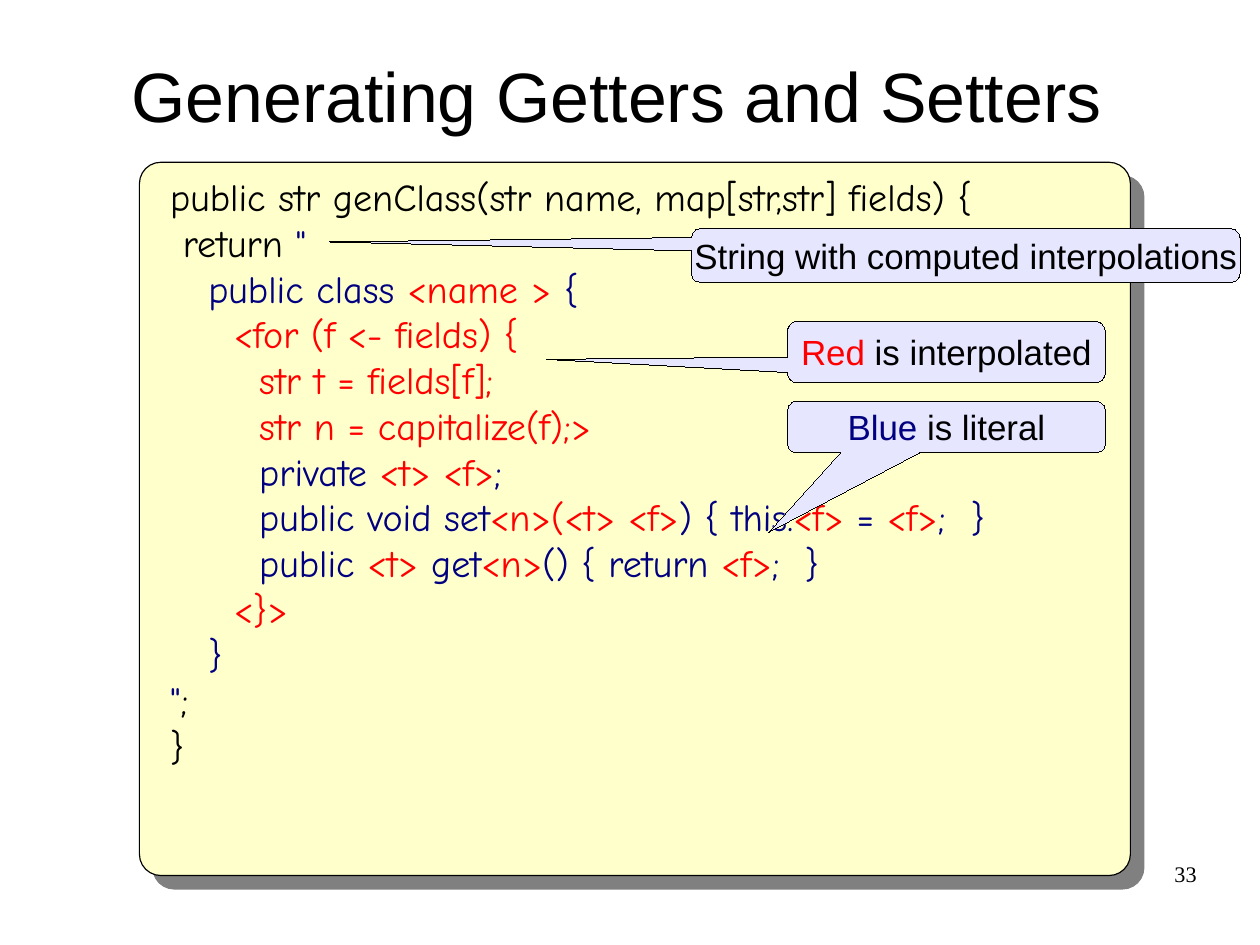
from lxml import etree
from pptx import Presentation
from pptx.dml.color import RGBColor
from pptx.enum.shapes import MSO_SHAPE
from pptx.enum.text import MSO_ANCHOR, PP_ALIGN
from pptx.oxml.ns import qn
from pptx.util import Inches, Pt

BLACK = RGBColor(0x00, 0x00, 0x00)
NAVY = RGBColor(0x00, 0x00, 0x80)
RED = RGBColor(0xFF, 0x00, 0x00)
CREAM = RGBColor(0xFF, 0xFF, 0xCC)
LILAC = RGBColor(0xE6, 0xE6, 0xFF)
ROUND = MSO_SHAPE.ROUNDED_RECTANGLE
BUBBLE = MSO_SHAPE.ROUNDED_RECTANGULAR_CALLOUT
MIDDLE = MSO_ANCHOR.MIDDLE
TOP = MSO_ANCHOR.TOP
LEFT, CENTER, RIGHT = PP_ALIGN.LEFT, PP_ALIGN.CENTER, PP_ALIGN.RIGHT
HAIR = 0.01

CODE = [
    [("public str genClass(str name, map[str,str] fields) {", BLACK)],
    [(" return ", BLACK), ('"', NAVY)],
    [("   public class ", NAVY), ("<name >", RED), (" {", NAVY)],
    [("     ", NAVY), ("<for (f <- fields) {", RED)],
    [("       str t = fields[f];", RED)],
    [("       str n = capitalize(f);>", RED)],
    [("       private ", NAVY), ("<t> <f>", RED), (";", NAVY)],
    [("       public void set", NAVY), ("<n>(<t> <f>", RED), (") { this.", NAVY),
     ("<f>", RED), (" = ", NAVY), ("<f>", RED), (";  }", NAVY)],
    [("       public ", NAVY), ("<t>", RED), (" get", NAVY), ("<n>", RED),
     ("() { return ", NAVY), ("<f>", RED), (";  }", NAVY)],
    [("     ", NAVY), ("<}>", RED)],
    [("   }", NAVY)],
    [('"', NAVY), (";", BLACK)],
    [("}", BLACK)],
]

NOTES = [
    ((6.89, 2.81, 2.78, 0.54), (-1.26, 0.12),
     [("Red", RED), (" is interpolated", BLACK)]),
    ((6.05, 2, 4.8, 0.47), (-1.16, -0.25),
     [("String with computed interpolations", BLACK)]),
    ((6.89, 3.51, 2.78, 0.45), (-0.56, 2.05),
     [("Blue", NAVY), (" is literal", BLACK)]),
]


def place(box):
    """Turn a box in inches into lengths."""
    return [Inches(n) for n in box]


def write(frame, lines, font, size, align, anchor=TOP, inset=(0, 0), wrap=True):
    """Fill a text frame with lines of coloured runs."""
    frame.word_wrap = wrap
    frame.vertical_anchor = anchor
    frame.margin_left = frame.margin_right = Inches(inset[0])
    frame.margin_top = frame.margin_bottom = Inches(inset[1])
    for i, line in enumerate(lines):
        para = frame.paragraphs[0] if i == 0 else frame.add_paragraph()
        para.alignment = align
        for text, color in line:
            run = para.add_run()
            run.text = text
            run.font.name = font
            run.font.size = Pt(size)
            run.font.color.rgb = color


def add_block(slide, kind, box, fill, width):
    """Add a filled shape with a black outline and no shadow."""
    shape = slide.shapes.add_shape(kind, *place(box))
    shape.shadow.inherit = False
    shape.fill.solid()
    shape.fill.fore_color.rgb = fill
    shape.line.color.rgb = BLACK
    shape.line.width = Pt(width)
    return shape


def add_shade(shape):
    """Give a shape a hard grey shadow to the lower right."""
    effects = shape._element.spPr.find(qn("a:effectLst"))
    shade = etree.SubElement(effects, qn("a:outerShdw"), blurRad="0",
                             dist=str(Pt(12)), dir="2700000",
                             algn="tl", rotWithShape="0")
    etree.SubElement(shade, qn("a:srgbClr"), val="808080")


def add_title(slide, box):
    """Place and fill the title."""
    title = slide.shapes.title
    title.left, title.top, title.width, title.height = place(box)
    write(title.text_frame, [[("Generating Getters and Setters", BLACK)]],
          "Arial", 44, CENTER, MIDDLE)


def add_code(slide, box):
    """Draw the code panel and its listing."""
    x, y, w, h = box
    panel = add_block(slide, ROUND, box, CREAM, 0.75)
    panel.adjustments[0] = 0.03
    add_shade(panel)
    area = (x + 0.17, y + 0.05, w - 0.19, h + 1.53)
    text = slide.shapes.add_textbox(*place(area))
    write(text.text_frame, CODE, "Comic Neue", 24, LEFT,
          inset=(0.1, 0.05), wrap=False)


def add_note(slide, box, tip, runs):
    """Draw a callout whose tail ends at the tip."""
    note = add_block(slide, BUBBLE, box, LILAC, HAIR)
    note.adjustments[0], note.adjustments[1] = tip
    write(note.text_frame, [runs], "Arial", 22, CENTER, MIDDLE,
          (0.1, 0.05), False)


def add_number(slide, box):
    """Add the page number."""
    text = slide.shapes.add_textbox(*place(box))
    write(text.text_frame, [[("33", BLACK)]], "Times New Roman", 14, RIGHT)


def main():
    """Build and save the slide."""
    deck = Presentation()
    deck.slide_width = Inches(28 / 2.54)
    deck.slide_height = Inches(21 / 2.54)
    slide = deck.slides.add_slide(deck.slide_layouts[5])
    add_title(slide, (0.44, 0.14, 9.92, 1.38))
    add_code(slide, (1.22, 1.42, 8.67, 6.24))
    for box, tip, runs in NOTES:
        add_note(slide, box, tip, runs)
    add_number(slide, (7.9, 7.53, 2.57, 0.57))
    deck.save("out.pptx")


if __name__ == "__main__":
    main()
